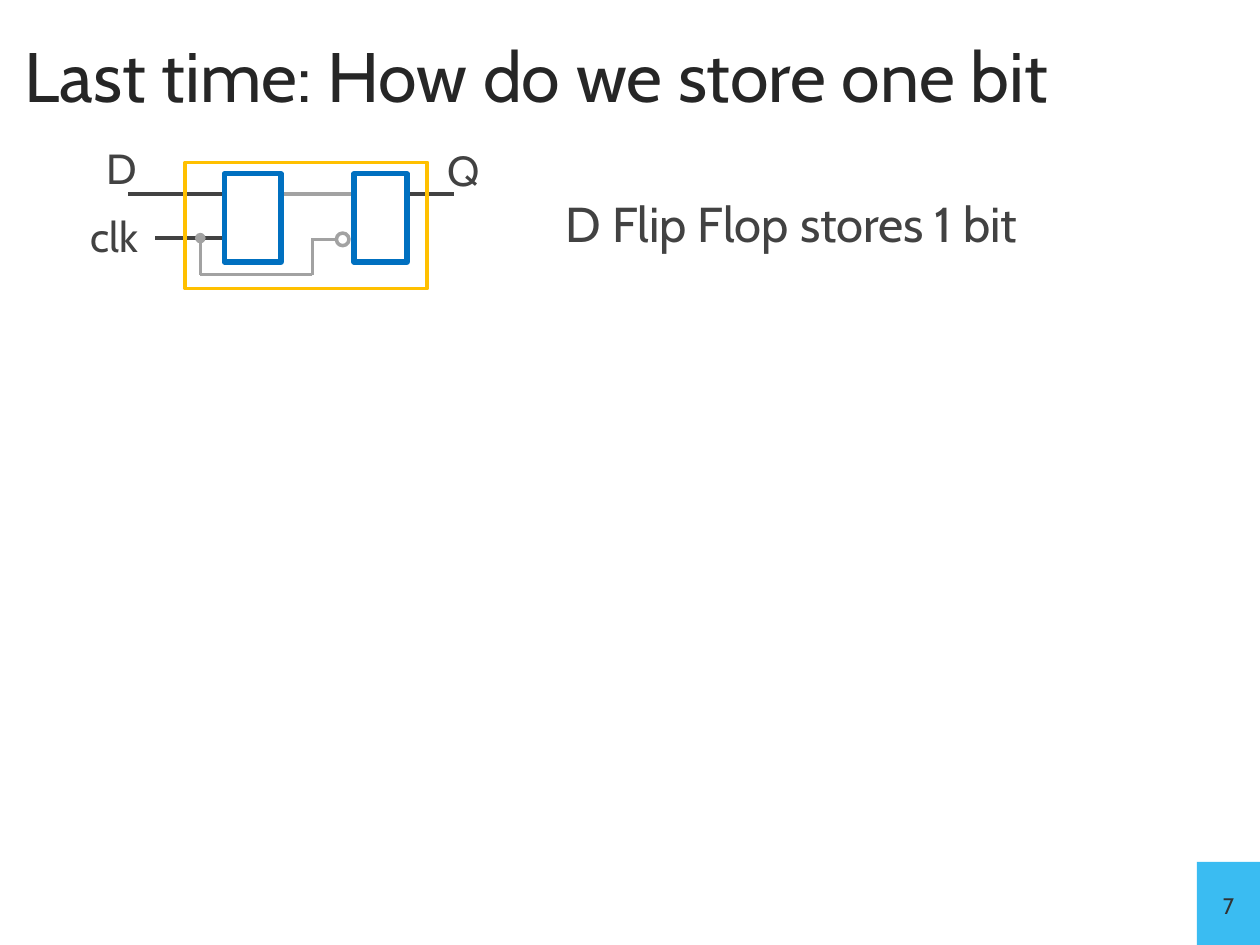
from lxml import etree
from pptx import Presentation
from pptx.dml.color import RGBColor
from pptx.enum import shapes, text
from pptx.oxml.ns import qn
from pptx.util import Inches, Pt

SKY = RGBColor(0x3A, 0xBC, 0xF2)
BLUE = RGBColor(0x00, 0x70, 0xC0)
AMBER = RGBColor(0xFF, 0xC0, 0x00)
GREY = RGBColor(0xA2, 0xA2, 0xA2)
DARK = RGBColor(0x42, 0x42, 0x42)
TITLE = RGBColor(0x26, 0x26, 0x26)
NUMBER = RGBColor(0x32, 0x32, 0x32)

presentation = Presentation()
presentation.slide_width = Inches(10)
presentation.slide_height = Inches(7.5)
slide = presentation.slides.add_slide(presentation.slide_layouts[6])


def add_shape(kind, box, line=None, width=0, fill=None):
    shape = slide.shapes.add_shape(kind, *map(Inches, box))
    shape.shadow.inherit = False
    if fill is None:
        shape.fill.background()
    else:
        shape.fill.solid()
        shape.fill.fore_color.rgb = fill
    if line is None:
        shape.line.fill.background()
    else:
        shape.line.color.rgb = line
        shape.line.width = Pt(width)
    return shape


def add_text(words, box, size, color, wrap=True, anchor=text.MSO_ANCHOR.TOP):
    text_frame = slide.shapes.add_textbox(*map(Inches, box)).text_frame
    text_frame.word_wrap = wrap
    text_frame.vertical_anchor = anchor
    text_frame.text = words
    font = text_frame.paragraphs[0].runs[0].font
    font.name = "Cabin"
    font.size = Pt(size)
    font.color.rgb = color
    return text_frame


# Title and page number
number_box = (9.5, 6.84, 0.5, 0.66)
add_shape(shapes.MSO_SHAPE.RECTANGLE, number_box, fill=SKY)
add_text("Last time: How do we store one bit", (0.1, 0.11, 9.8, 0.97), 40, TITLE,
         anchor=text.MSO_ANCHOR.MIDDLE)
number = add_text("7", number_box, 16, NUMBER, anchor=text.MSO_ANCHOR.MIDDLE).paragraphs[0]
number.alignment = text.PP_ALIGN.CENTER
number.runs[0].font._element.set("cap", "small")

# Wires: start, end, colour, width
data_y, clock_y, return_y = 1.54, 1.89, 2.18
branch_x, riser_x = 1.59, 2.48
wires = [
    ((1.78, data_y), (1.02, data_y), DARK, 2.25),
    ((1.78, clock_y), (1.23, clock_y), DARK, 2.25),
    ((2.81, data_y), (2.23, data_y), GREY, 2),
    ((2.67, 1.9), (riser_x, 1.9), GREY, 2),
    ((3.6, data_y), (3.23, data_y), DARK, 2.25),
    ((riser_x, return_y), (riser_x, clock_y), GREY, 2),
    ((riser_x, return_y), (branch_x, return_y), GREY, 2),
    ((branch_x, return_y), (branch_x, clock_y), GREY, 2),
]
for start, end, color, width in wires:
    wire = slide.shapes.add_connector(
        shapes.MSO_CONNECTOR.STRAIGHT, *map(Inches, start + end))
    wire.line.color.rgb = color
    wire.line.width = Pt(width)
    etree.SubElement(wire._element.spPr, qn("a:effectLst"))

# The clock branch, drawn last, ends in a junction dot
etree.SubElement(wire.line._get_or_add_ln(), qn("a:tailEnd"), type="oval")

# Two latches, the inverter bubble and the flip-flop outline
add_shape(shapes.MSO_SHAPE.RECTANGLE, (1.78, 1.38, 0.45, 0.7), BLUE, 3)
add_shape(shapes.MSO_SHAPE.OVAL, (2.67, 1.85, 0.1, 0.1), GREY, 2)
add_shape(shapes.MSO_SHAPE.RECTANGLE, (1.47, 1.29, 1.92, 1), AMBER, 2.25)
add_shape(shapes.MSO_SHAPE.RECTANGLE, (2.81, 1.38, 0.42, 0.7), BLUE, 3)

# Labels
add_text("D Flip Flop stores 1 bit", (4.39, 1.49, 4.14, 0.57), 28, DARK, wrap=False)
add_text("Q", (3.45, 1.1, 0.43, 0.5), 24, DARK)
add_text("D", (0.75, 1.08, 0.43, 0.5), 24, DARK)
add_text("clk", (0.62, 1.62, 0.69, 0.5), 24, DARK)

presentation.save("out.pptx")
